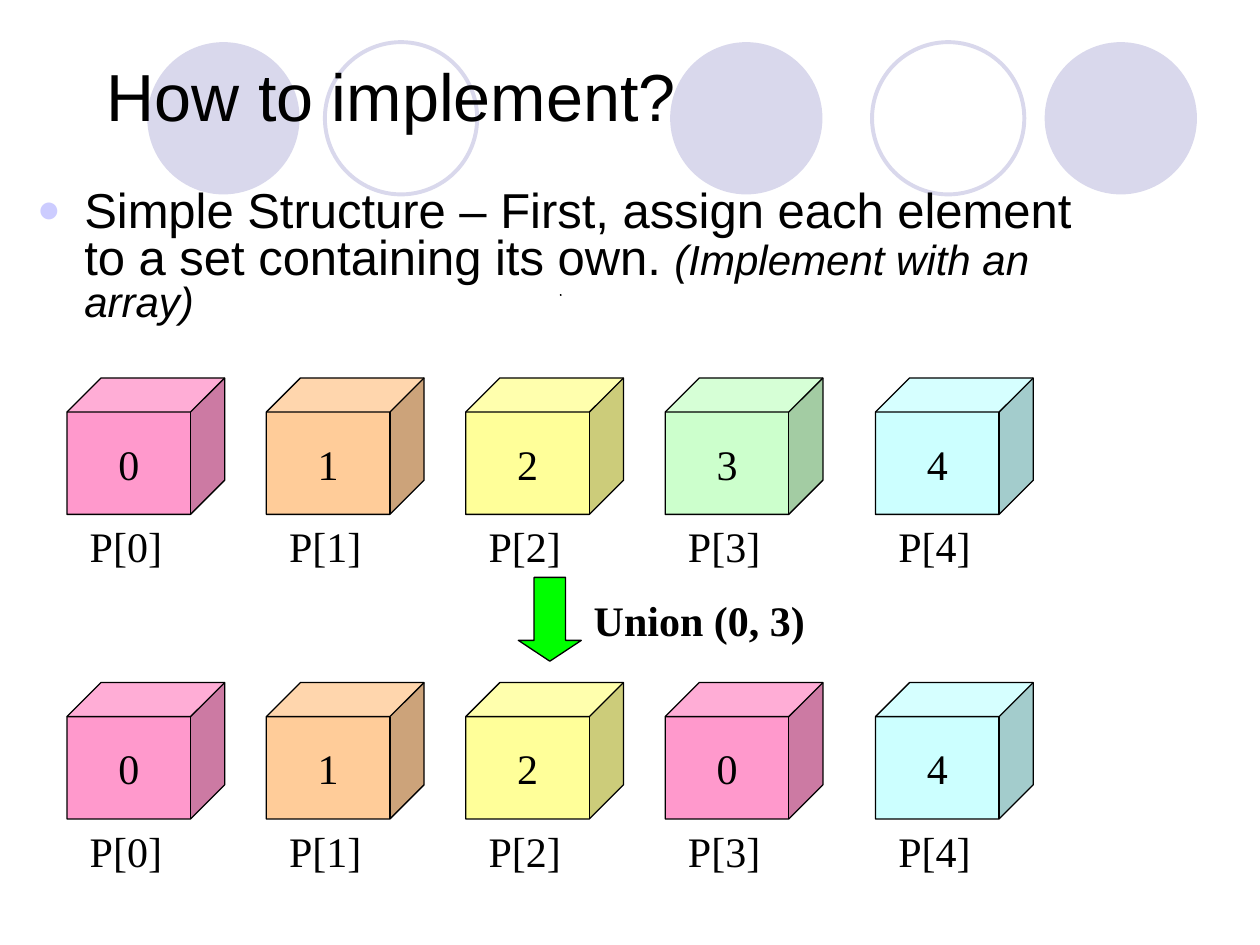
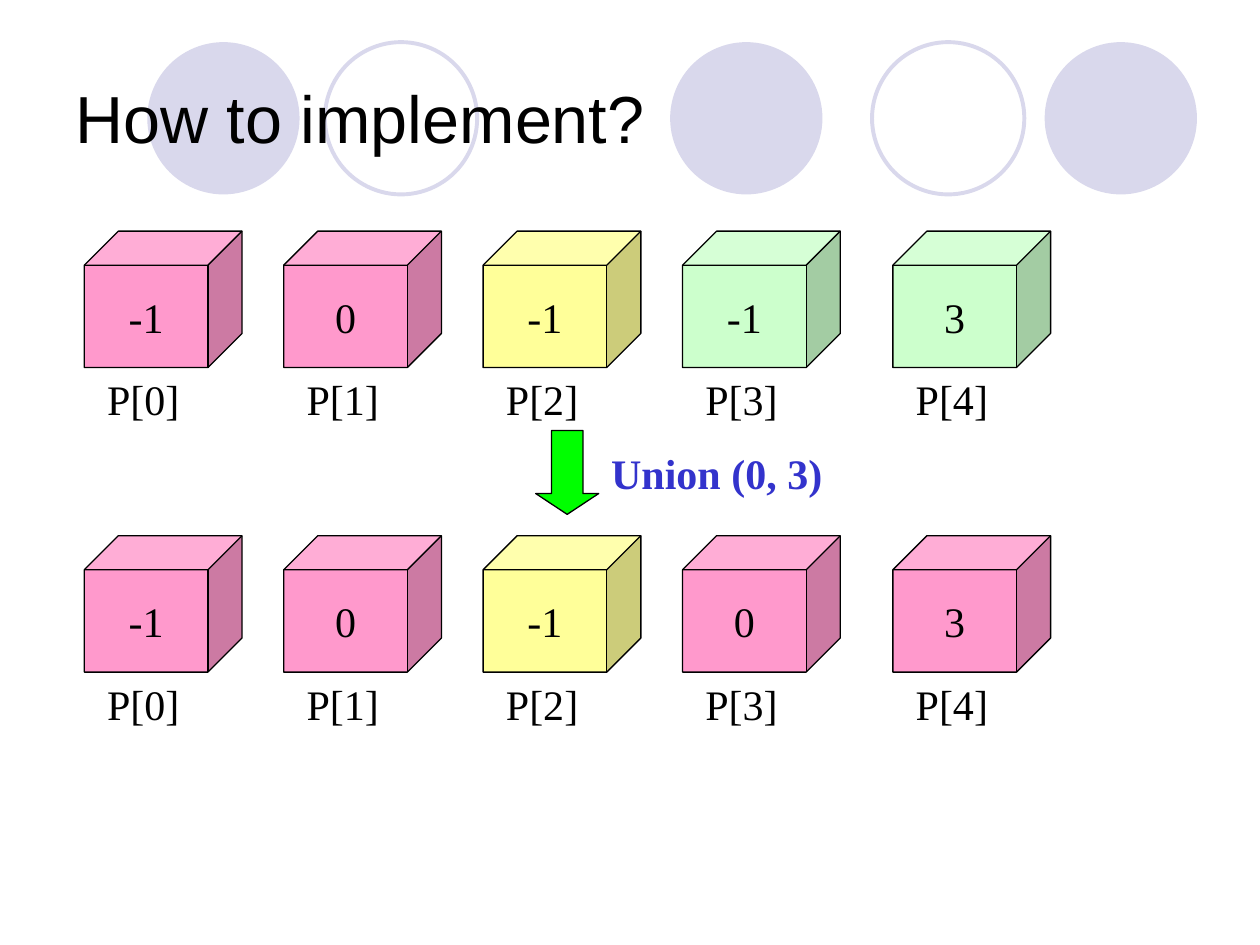
from lxml.etree import SubElement
from pptx import Presentation
from pptx.dml.color import RGBColor
from pptx.enum.shapes import MSO_SHAPE as Shape
from pptx.enum.text import MSO_ANCHOR as Anchor, MSO_AUTO_SIZE as AutoSize, PP_ALIGN as Align
from pptx.oxml.ns import qn
from pptx.util import Cm, Pt

PINK, PEACH, YELLOW, GREEN, CYAN = "FF99CC", "FFCC99", "FFFF99", "CCFFCC", "CCFFFF"
LAVENDER, PERIWINKLE, ARROW_GREEN = "D9D8EC", "CCCCFF", "00FF00"
BLACK, BLUE = "000000", "3333CC"
SANS, SERIF = "Arial", "Times New Roman"


def color(value):
    return RGBColor.from_string(value)


class Slides:
    circle_lefts = (2.97, 6.55, 13.51, 17.58, 21.06)
    cube_width, cube_height = 3.18, 2.75
    column_step, last_column_shift = 4.02, 0.22
    row_step = 6.14

    def __init__(self):
        self.deck = Presentation()
        self.deck.slide_width, self.deck.slide_height = Cm(25.4), Cm(19.05)
        self.page = None

    def new_page(self, title, left, top, width):
        self.page = self.deck.slides.add_slide(self.deck.slide_layouts[6])
        for index, circle_left in enumerate(self.circle_lefts):
            fill = None if index % 2 else LAVENDER
            line = LAVENDER if index % 2 else None
            self.shape(Shape.OVAL, circle_left, 0.85, 3.07, 3.07, fill, line, 2.25)
        box = self.text(title, left, top, width, 3.18, 38, SANS)
        box.text_frame.vertical_anchor = Anchor.MIDDLE

    def shape(self, kind, left, top, width, height, fill, line=BLACK, weight=0.75):
        shape = self.page.shapes.add_shape(kind, Cm(left), Cm(top), Cm(width), Cm(height))
        shape.shadow.inherit = False
        if fill:
            shape.fill.solid()
            shape.fill.fore_color.rgb = color(fill)
        else:
            shape.fill.background()
        if line:
            shape.line.color.rgb = color(line)
            shape.line.width = Pt(weight)
        else:
            shape.line.fill.background()
        return shape

    def style(self, span, size, font, ink=BLACK, bold=False, italic=False):
        span.font.size = Pt(size)
        span.font.name = font
        span.font.color.rgb = color(ink)
        span.font.bold = bold
        span.font.italic = italic

    def text(self, words, left, top, width, height, size=24, font=SERIF, ink=BLACK, bold=False):
        box = self.page.shapes.add_textbox(Cm(left), Cm(top), Cm(width), Cm(height))
        frame = box.text_frame
        frame.word_wrap = True
        frame.auto_size = AutoSize.NONE
        frame.text = words
        self.style(frame.paragraphs[0].runs[0], size, font, ink, bold)
        return box

    def bullet(self, words, aside, left, top, width, height):
        box = self.text(words, left, top, width, height, 28, SANS)
        para = box.text_frame.paragraphs[0]
        properties = para._p.get_or_add_pPr()
        properties.set("marL", str(Cm(0.95)))
        properties.set("indent", str(Cm(-0.95)))
        bullet_color = SubElement(properties, qn("a:buClr"))
        SubElement(bullet_color, qn("a:srgbClr"), val=PERIWINKLE)
        SubElement(properties, qn("a:buSzPct"), val="80000")
        SubElement(properties, qn("a:buFont"), typeface=SANS)
        SubElement(properties, qn("a:buChar"), char="●")
        para.line_spacing = 0.8
        span = para.add_run()
        span.text = aside
        self.style(span, 24, SANS, italic=True)

    def cube(self, value, fill, left, top):
        cube = self.shape(Shape.CUBE, left, top, self.cube_width, self.cube_height, fill)
        frame = cube.text_frame
        frame.word_wrap = False
        frame.vertical_anchor = Anchor.MIDDLE
        frame.text = value
        para = frame.paragraphs[0]
        para.alignment = Align.CENTER
        self.style(para.runs[0], 24, SERIF)

    def array(self, cells, left, top):
        for index, (value, fill) in enumerate(cells):
            cell_left = left + index * self.column_step
            if index == len(cells) - 1:
                cell_left += self.last_column_shift
            self.cube(value, fill, cell_left, top)
            self.text(f"P[{index}]", cell_left + 0.21, top + self.cube_height, 2.12, 1.27)

    def union(self, before, after, left, top, ink):
        self.array(before, left, top)
        self.text("Union (0, 3)", left + 10.37, top + 4.23, 5.72, 1.27, ink=ink, bold=True)
        arrow = self.shape(Shape.DOWN_ARROW, left + 9.1, top + 4.02, 1.27, 1.69, ARROW_GREEN)
        arrow.adjustments[0] = 0.5
        arrow.adjustments[1] = 0.33
        self.array(after, left, top + self.row_step)


def main():
    slides = Slides()

    slides.new_page("How to implement?", 1.9, 0.33, 21.59)
    slides.bullet(
        "Simple Structure – First, assign each element to a set containing its own. ",
        "(Implement with an array)", 0.5, 3.73, 21.59, 3.18)
    slides.shape(Shape.RIGHT_TRIANGLE, 11.3, 5.94, 0.01, 0.01, PERIWINKLE)
    singles = [("0", PINK), ("1", PEACH), ("2", YELLOW), ("3", GREEN), ("4", CYAN)]
    merged = singles[:3] + [("0", PINK)] + singles[4:]
    slides.union(singles, merged, 1.35, 7.62, BLACK)

    slides.new_page("How to implement?", 1.27, 0.76, 22.86)
    first_tree = [("-1", PINK), ("0", PINK), ("-1", YELLOW)]
    slides.union(
        first_tree + [("-1", GREEN), ("3", GREEN)],
        first_tree + [("0", PINK), ("3", PINK)], 1.7, 4.66, BLUE)

    slides.deck.save("out.pptx")


if __name__ == "__main__":
    main()
